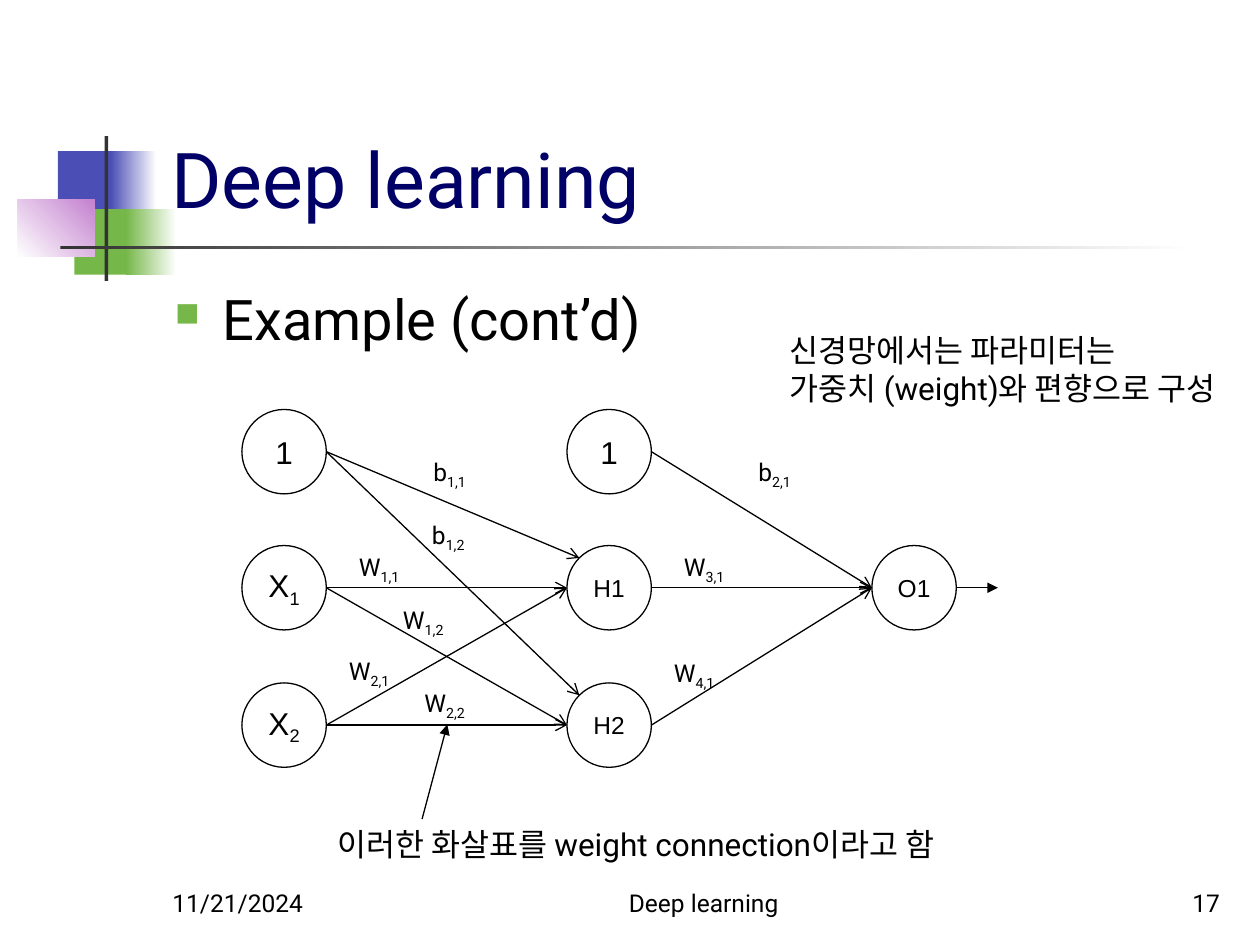
from dataclasses import dataclass
from math import sqrt

from lxml.etree import SubElement
from pptx import Presentation
from pptx.dml.color import RGBColor as RGB
from pptx.enum.shapes import MSO_CONNECTOR as CONN, MSO_SHAPE as SHAPE
from pptx.enum.text import MSO_ANCHOR as ANCHOR, PP_ALIGN as ALIGN
from pptx.oxml.ns import qn
from pptx.util import Inches, Pt


@dataclass(frozen=True)
class Theme:
    text_font: str = "Roboto"
    node_font: str = "Arial"
    ink: str = "000000"
    white: str = "FFFFFF"
    title: str = "000066"
    blue: str = "4B4EB5"
    green: str = "76B749"
    pink: str = "C481CF"
    bar: str = "333333"
    title_size: int = 44
    body_size: int = 32
    note_size: int = 18
    label_size: int = 14
    line_width: float = 0.75


T = Theme()
NODE = 0.67
X_IN, X_HIDDEN, X_OUT = 1.92, 4.5, 6.92
ROWS = [3.25, 4.33, 5.42]


def add_run(p, text, size, font=T.text_font, color=T.ink, sub=False):
    r = p.add_run()
    r.text = text
    r.font.size = Pt(size)
    r.font.name = font
    r.font.color.rgb = RGB.from_string(color)
    if sub:
        r.font._element.set("baseline", "-25000")


def add_text(s, box, lines, size, color=T.ink, align=ALIGN.LEFT,
             anchor=ANCHOR.TOP, wrap=True):
    sp = s.shapes.add_textbox(*map(Inches, box))
    tf = sp.text_frame
    tf.word_wrap = wrap
    tf.vertical_anchor = anchor
    for i, line in enumerate(lines):
        p = tf.add_paragraph() if i else tf.paragraphs[0]
        p.alignment = align
        add_run(p, line, size, color=color)
    return tf


def add_bullet(p, color):
    ppr = p._p.get_or_add_pPr()
    ppr.set("marL", str(Inches(0.38)))
    ppr.set("indent", str(-Inches(0.38)))
    SubElement(SubElement(ppr, qn("a:buClr")), qn("a:srgbClr"), val=color)
    SubElement(ppr, qn("a:buSzPct"), val="60000")
    SubElement(ppr, qn("a:buChar"), char="■")


def add_block(s, box, start, end=None, angle=0):
    sp = s.shapes.add_shape(SHAPE.RECTANGLE, *map(Inches, box))
    sp.shadow.inherit = False
    sp.line.fill.background()
    if end is None:
        sp.fill.solid()
        sp.fill.fore_color.rgb = RGB.from_string(start)
        return
    sp.fill.gradient()
    sp.fill.gradient_angle = angle
    for stop, color, pos in zip(sp.fill.gradient_stops, (start, end), (0, 1)):
        stop.color.rgb = RGB.from_string(color)
        stop.position = pos


def add_node(s, x, y, text, sub="", size=T.note_size):
    sp = s.shapes.add_shape(SHAPE.OVAL, *map(Inches, (x, y, NODE, NODE)))
    sp.shadow.inherit = False
    sp.fill.background()
    sp.line.color.rgb = RGB.from_string(T.ink)
    sp.line.width = Pt(T.line_width)
    tf = sp.text_frame
    tf.word_wrap = False
    tf.vertical_anchor = ANCHOR.MIDDLE
    p = tf.paragraphs[0]
    p.alignment = ALIGN.CENTER
    add_run(p, text, size, T.node_font)
    if sub:
        add_run(p, sub, size, T.node_font, sub=True)


def add_arrow(s, start, end, head="arrow"):
    c = s.shapes.add_connector(CONN.STRAIGHT, *map(Inches, (*start, *end)))
    c.line.color.rgb = RGB.from_string(T.ink)
    c.line.width = Pt(T.line_width)
    SubElement(c.line._get_or_add_ln(), qn("a:tailEnd"), type=head)
    SubElement(c._element.spPr, qn("a:effectLst"))


def add_label(s, x, y, letter, index):
    width = 0.49 if letter == "b" else 0.56
    tf = add_text(s, (x, y, width, 0.34), [letter], T.label_size, wrap=False)
    add_run(tf.paragraphs[0], index, T.label_size, sub=True)


def left_side(x, row):
    return x, ROWS[row] + NODE / 2


def right_side(x, row):
    return x + NODE, ROWS[row] + NODE / 2


def upper_left(x, row):
    inset = NODE / 2 * (1 - 1 / sqrt(2))
    return x + inset, ROWS[row] + inset


def add_decoration(s):
    add_block(s, (0.46, 1.2, 0.48, 0.52), T.blue)
    add_block(s, (0.88, 1.2, 0.36, 0.52), T.blue, T.white)
    add_block(s, (0.59, 1.66, 0.46, 0.52), T.green)
    add_block(s, (1, 1.66, 0.4, 0.52), T.green, T.white)
    add_block(s, (0.14, 1.58, 0.61, 0.46), T.white, T.pink, 45)
    add_block(s, (0.83, 1.08, 0.03, 1.15), T.bar)
    add_block(s, (0.48, 1.95, 9, 0.03), T.bar, T.white)


def add_footer(s):
    for x, width, text, align in [
        (1.27, 2.08, "11/21/2024", ALIGN.LEFT),
        (4, 3.17, "Deep learning", ALIGN.CENTER),
        (7.7, 2.08, "17", ALIGN.RIGHT),
    ]:
        add_text(s, (x, 6.83, width, 0.5), [text], T.label_size,
                 align=align, anchor=ANCHOR.BOTTOM)


def add_network(s):
    for y, text, sub in zip(ROWS, "1XX", ("", "1", "2")):
        add_node(s, X_IN, y, text, sub)
    add_node(s, X_HIDDEN, ROWS[0], "1")
    for x, row, text in [(X_HIDDEN, 1, "H1"), (X_HIDDEN, 2, "H2"), (X_OUT, 1, "O1")]:
        add_node(s, x, ROWS[row], text, size=T.label_size)

    for target in (1, 2):
        add_arrow(s, right_side(X_IN, 0), upper_left(X_HIDDEN, target))
        for source in (1, 2):
            add_arrow(s, right_side(X_IN, source), left_side(X_HIDDEN, target))
    for source in range(3):
        add_arrow(s, right_side(X_HIDDEN, source), left_side(X_OUT, 1))
    x, y = right_side(X_OUT, 1)
    add_arrow(s, (x, y), (x + 0.33, y), "triangle")

    for label in [
        (3.34, 3.58, "b", "1,1"), (3.33, 4.08, "b", "1,2"),
        (2.75, 4.33, "W", "1,1"), (3.1, 4.75, "W", "1,2"),
        (2.67, 5.16, "W", "2,1"), (3.27, 5.41, "W", "2,2"),
        (5.92, 3.58, "b", "2,1"), (5.33, 4.33, "W", "3,1"),
        (5.25, 5.17, "W", "4,1"),
    ]:
        add_label(s, *label)


def main():
    prs = Presentation()
    prs.slide_width, prs.slide_height = Inches(10), Inches(7.5)
    s = prs.slides.add_slide(prs.slide_layouts[6])
    add_decoration(s)
    add_text(s, (1.26, 0.23, 8.52, 1.6), ["Deep learning"], T.title_size,
             T.title, anchor=ANCHOR.BOTTOM)
    tf = add_text(s, (1.29, 2.21, 8.5, 4.5), ["Example (cont’d)"], T.body_size)
    add_bullet(tf.paragraphs[0], T.green)
    add_footer(s)
    add_text(s, (6.17, 2.58, 3.9, 0.71),
             ["신경망에서는 파라미터는", "가중치 (weight)와 편향으로 구성"],
             T.note_size, wrap=False)
    add_network(s)
    add_text(s, (2.58, 6.5, 5.24, 0.4),
             ["이러한 화살표를 weight connection이라고 함"], T.note_size, wrap=False)
    add_arrow(s, (3.35, 6.5), (3.55, 5.75), "triangle")
    prs.save("out.pptx")


if __name__ == "__main__":
    main()
